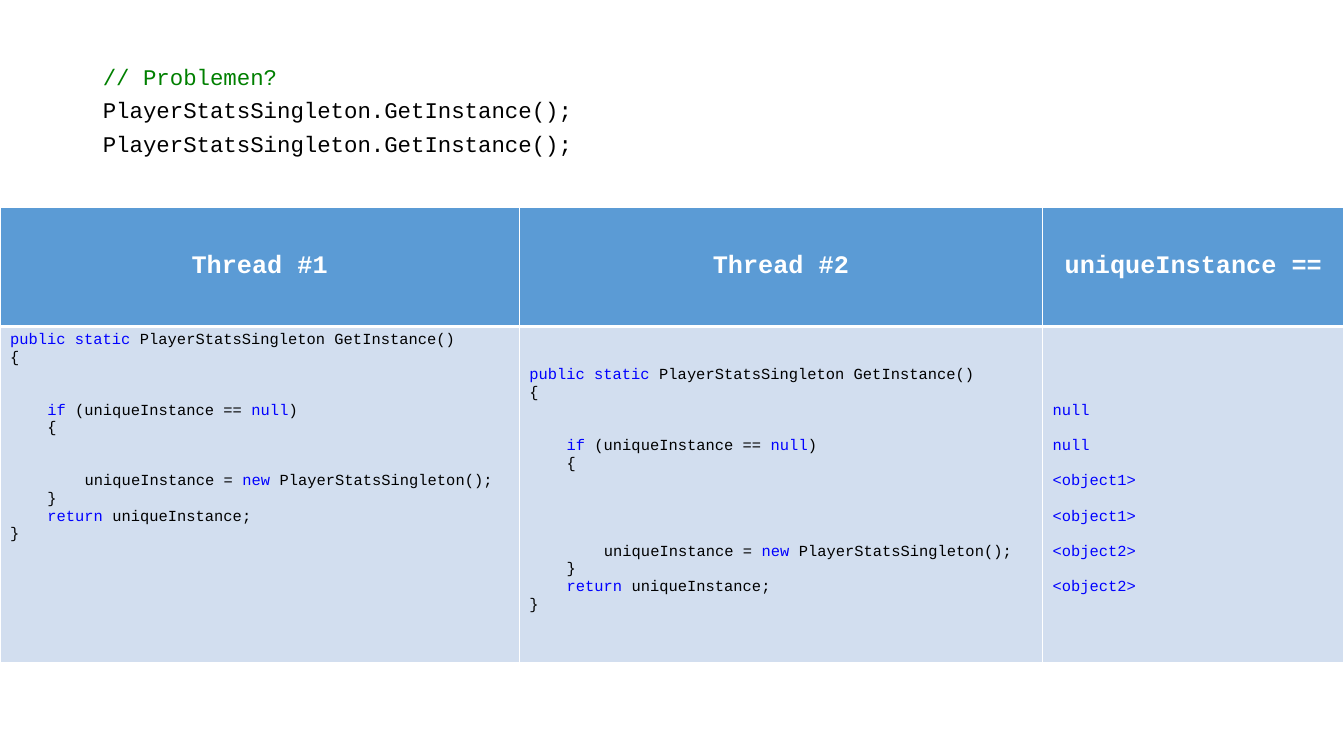
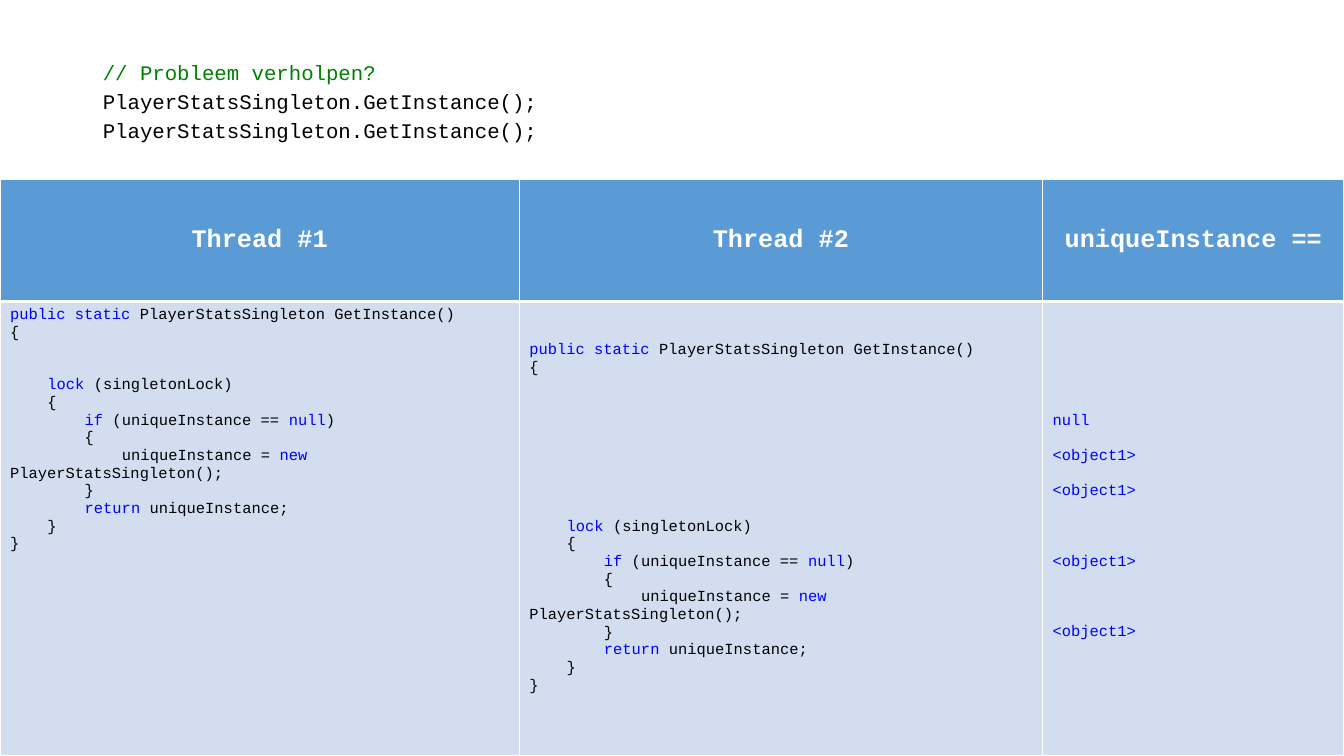
from dataclasses import dataclass

from lxml import etree
from pptx import Presentation
from pptx.dml.color import RGBColor
from pptx.enum.text import MSO_ANCHOR, MSO_AUTO_SIZE, PP_ALIGN
from pptx.oxml.ns import qn
from pptx.util import Inches, Pt

TOP, MIDDLE = MSO_ANCHOR.TOP, MSO_ANCHOR.MIDDLE
CENTER, LEFT = PP_ALIGN.CENTER, PP_ALIGN.LEFT
FIXED = MSO_AUTO_SIZE.NONE

FONT = "Courier New"
WHITE, BLACK, BLUE, GREEN = "FFFFFF", "000000", "0000FF", "008000"
HEAD, BODY = "5B9BD5", "D2DEEF"
WIDTHS = (5.15, 5.19, 2.99)
HEADS = ("Thread #1", "Thread #2", "uniqueInstance ==")
CALL = "PlayerStatsSingleton.GetInstance();"
CODE_SIZE = 11
PITCH = 12.6
TAB = 0.37


@dataclass(frozen=True)
class Line:
    text: str
    level: int = 0
    gap: int = 0


@dataclass(frozen=True)
class Page:
    note: str
    size: float
    lead: float
    height: float
    top: float
    rows: tuple[float, float]
    cells: tuple[list[Line], list[Line], list[Line]]


def tint(code: str) -> RGBColor:
    return RGBColor.from_string(code)


def add_run(par, text: str, size: float, color: str, bold: bool = False) -> None:
    run = par.add_run()
    run.text = text
    font = run.font
    font.name, font.size, font.bold = FONT, Pt(size), bold
    font.color.rgb = tint(color)


def next_par(frame, index: int):
    return frame.add_paragraph() if index else frame.paragraphs[0]


def wrap(start: int, inner: list[Line]) -> list[Line]:
    return [
        Line("|public static |PlayerStatsSingleton GetInstance()", 0, start),
        Line("{"),
        *inner,
        Line("}"),
    ]


def check(level: int, gap: int, delay: int) -> list[Line]:
    return [
        Line("|if| (uniqueInstance == |null|)", level, gap),
        Line("{", level),
        Line("uniqueInstance = |new |PlayerStatsSingleton();", level + 1, delay),
        Line("}", level),
        Line("|return |uniqueInstance;", level),
    ]


def open_code(start: int, delay: int) -> list[Line]:
    return wrap(start, check(1, 2, delay))


def lock_code(start: int, wait: int) -> list[Line]:
    return wrap(start, [
        Line("|lock| (singletonLock)", 1, wait),
        Line("{", 1),
        *check(2, 0, 0),
        Line("}", 1),
    ])


def states(*items: tuple[str, int]) -> list[Line]:
    return [Line(f"|{text}|", 0, gap) for text, gap in items]


def edge(cell, top: float, bottom: float) -> None:
    props = cell._tc.get_or_add_tcPr()
    sides = (("L", 1), ("R", 1), ("T", top), ("B", bottom))
    for index, (side, width) in enumerate(sides):
        line = etree.Element(qn(f"a:ln{side}"), w=str(Pt(width)))
        fill = etree.SubElement(line, qn("a:solidFill"))
        etree.SubElement(fill, qn("a:srgbClr"), val=WHITE)
        props.insert(index, line)


def paint(cell, fill: str, anchor, top: float, bottom: float) -> None:
    cell.fill.solid()
    cell.fill.fore_color.rgb = tint(fill)
    cell.vertical_anchor = anchor
    cell.margin_left = cell.margin_right = Inches(0.1)
    cell.margin_top = cell.margin_bottom = Inches(0.05)
    edge(cell, top, bottom)


def write_head(cell, text: str) -> None:
    paint(cell, HEAD, MIDDLE, 1, 3)
    par = cell.text_frame.paragraphs[0]
    par.alignment = CENTER
    add_run(par, text, 18, WHITE, True)


def write_code(cell, lines: list[Line]) -> None:
    paint(cell, BODY, TOP, 3, 1)
    cell.margin_top = Inches(0.05) + Pt(lines[0].gap * PITCH)
    for index, line in enumerate(lines):
        par = next_par(cell.text_frame, index)
        par.alignment = LEFT
        par.space_before = Pt(line.gap * PITCH if index else 0)
        props = par._p.get_or_add_pPr()
        props.set("marL", "0")
        props.set("indent", str(Inches(line.level * TAB)))
        for turn, part in enumerate(line.text.split("|")):
            if part:
                add_run(par, part, CODE_SIZE, BLUE if turn % 2 else BLACK)


def add_grid(slide, page: Page) -> None:
    frame = slide.shapes.add_table(
        2, len(WIDTHS), 0, Inches(page.top),
        Inches(sum(WIDTHS)), Inches(sum(page.rows)),
    )
    grid = frame.table
    for row, height in zip(grid.rows, page.rows):
        row.height = Inches(height)
    for index, width in enumerate(WIDTHS):
        grid.columns[index].width = Inches(width)
        write_head(grid.cell(0, index), HEADS[index])
        write_code(grid.cell(1, index), page.cells[index])


def add_calls(slide, page: Page) -> None:
    body = slide.placeholders[1]
    body.left, body.top = Inches(0.92), Inches(0.52)
    body.width, body.height = Inches(11.5), Inches(page.height)
    frame = body.text_frame
    frame.auto_size = FIXED
    frame.word_wrap = True
    frame.vertical_anchor = TOP
    for index, (text, color) in enumerate(
        ((page.note, GREEN), (CALL, BLACK), (CALL, BLACK))
    ):
        par = next_par(frame, index)
        par.line_spacing = page.lead
        par.space_before = Pt(1)
        props = par._p.get_or_add_pPr()
        props.set("marL", "0")
        props.set("indent", "0")
        etree.SubElement(props, qn("a:buNone"))
        add_run(par, text, page.size, color)


PAGES = (
    Page(
        "// Problemen?", 16, 1.2, 1.16, 2.06, (1.18, 3.33),
        (
            open_code(0, 2),
            open_code(2, 4),
            states(("null", 4), ("null", 1), ("<object1>", 1),
                   ("<object1>", 1), ("<object2>", 1), ("<object2>", 1)),
        ),
    ),
    Page(
        "// Probleem verholpen?", 14.8, 1.1, 0.94, 1.78, (1.21, 4.51),
        (
            lock_code(0, 2),
            lock_code(2, 8),
            states(("null", 6), ("<object1>", 1), ("<object1>", 1),
                   ("<object1>", 3), ("<object1>", 3)),
        ),
    ),
)


def main() -> None:
    deck = Presentation()
    deck.slide_width, deck.slide_height = Inches(13.33), Inches(7.5)
    for page in PAGES:
        slide = deck.slides.add_slide(deck.slide_layouts[1])
        title = slide.shapes.title.element
        title.getparent().remove(title)
        add_grid(slide, page)
        add_calls(slide, page)
    deck.save("out.pptx")


if __name__ == "__main__":
    main()
